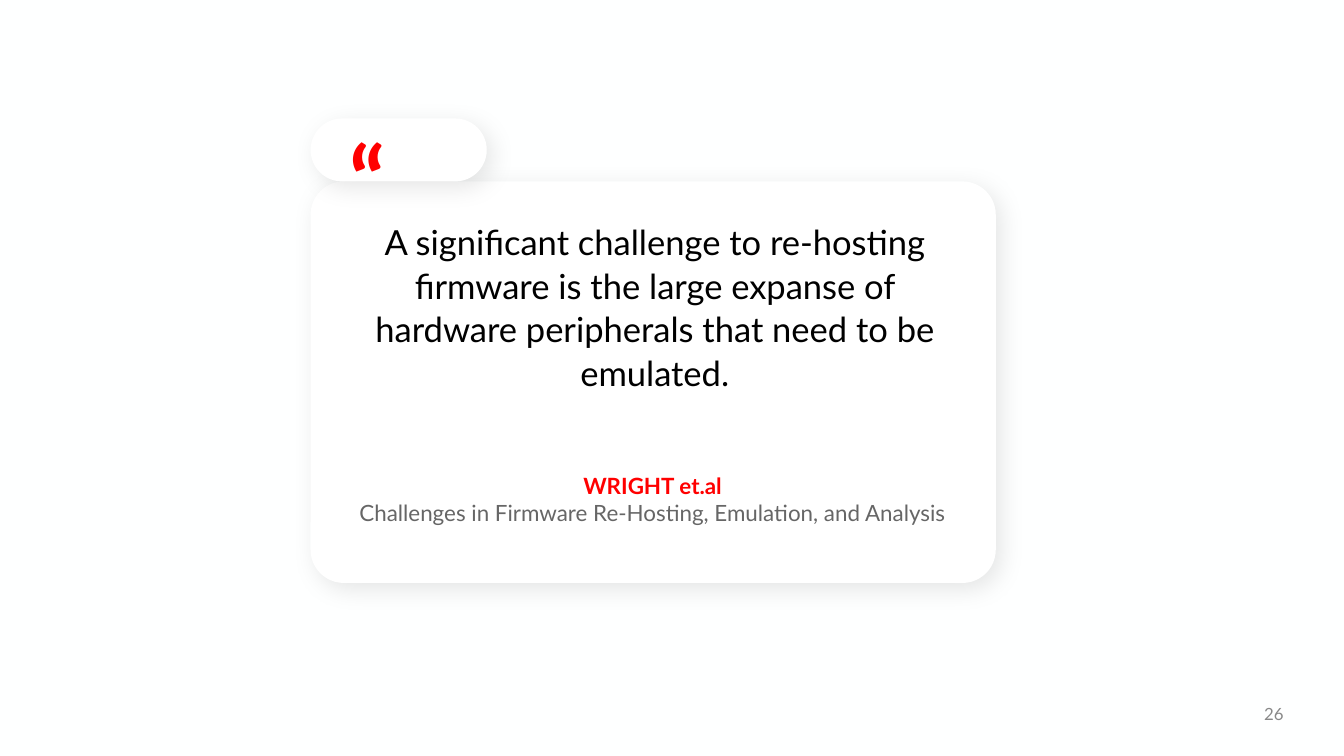
import pptx
import pptx.util
import pptx.dml.color
import pptx.enum.shapes
import pptx.enum.text
import lxml.etree

Cm, Pt = pptx.util.Cm, pptx.util.Pt
ALIGN = pptx.enum.text.PP_ALIGN
ANCHOR = pptx.enum.text.MSO_ANCHOR
FIT = pptx.enum.text.MSO_AUTO_SIZE
INK = {"back": "FEFFFF", "card": "FFFFFF", "text": "000000",
       "mark": "FF0000", "work": "666666", "page": "888888"}
FONT = "Lato"
SHADE = """<a:effectLst xmlns:a="http://schemas.openxmlformats.org/drawingml/2006/main">
<a:outerShdw blurRad="171450" dist="57150" dir="2700000" algn="tl" rotWithShape="0">
<a:srgbClr val="000000"><a:alpha val="10000"/></a:srgbClr></a:outerShdw></a:effectLst>"""


def tint(name):
    return pptx.dml.color.RGBColor.from_string(INK[name])


def place(shape, left, top, width, height):
    shape.left, shape.top = Cm(left), Cm(top)
    shape.width, shape.height = Cm(width), Cm(height)


def frame(shape, pad=(0, 0), anchor=ANCHOR.TOP, fit=FIT.SHAPE_TO_FIT_TEXT):
    text = shape.text_frame
    text.word_wrap, text.auto_size = True, fit
    text.vertical_anchor = anchor
    text.margin_left = text.margin_right = Cm(pad[0])
    text.margin_top = text.margin_bottom = Cm(pad[1])
    return text


def write(para, words, size, color, align, bold=False):
    para.text = words
    para.alignment = align
    for run in para.runs:
        font = run.font
        font.name, font.size, font.bold = FONT, Pt(size), bold
        font.color.rgb = tint(color)


def label(slide, box):
    shape = slide.shapes.add_textbox(0, 0, 0, 0)
    place(shape, *box)
    return shape


def panel(slide, box, round_by):
    """Add a white rounded panel with a soft shadow."""
    kind = pptx.enum.shapes.MSO_SHAPE.ROUNDED_RECTANGLE
    shape = slide.shapes.add_shape(kind, 0, 0, 0, 0)
    place(shape, *box)
    shape.adjustments[0] = round_by
    shape.fill.solid()
    shape.fill.fore_color.rgb = tint("card")
    shape.line.fill.background()
    shape.shadow.inherit = False
    props = shape._element.spPr
    props.remove(props.find("{*}effectLst"))
    props.append(lxml.etree.fromstring(SHADE))


def draw_card(slide, left, top, width, height):
    # Card body with the quote and its source
    panel(slide, (left, top, width, height), 0.083)

    quote = slide.shapes.title
    place(quote, left + 0.89, top + 0.71, width - 1.72, 3.28)
    slide.shapes._spTree.append(quote._element)
    para = frame(quote).paragraphs[0]
    write(para, "A significant challenge to re-hosting firmware is the large "
          "expanse of hardware peripherals that need to be emulated.",
          18.5, "text", ALIGN.CENTER)
    para.line_spacing = 1.05

    text = frame(label(slide, (left + 0.33, top + 5.49, width - 0.68, 1.02)))
    write(text.paragraphs[0], "WRIGHT et.al", 12, "mark", ALIGN.CENTER, True)
    write(text.add_paragraph(),
          "Challenges in Firmware Re-Hosting, Emulation, and Analysis",
          12, "work", ALIGN.CENTER)


def draw_tab(slide, left, top, width, height):
    # Pill with the quotation mark
    panel(slide, (left, top, width, height), 0.5)
    mark = label(slide, (left + 0.48, top - 0.18, 2.69, 2.64))
    text = frame(mark, (0.25, 0.25))
    write(text.paragraphs[0], "“", 50, "mark", ALIGN.LEFT, True)


def draw_page(slide, left, top, width, height):
    # Page number
    text = frame(label(slide, (left, top, width, height)), (0.18, 0.1),
                 ANCHOR.MIDDLE, FIT.NONE)
    write(text.paragraphs[0], "26", 9, "page", ALIGN.RIGHT)


def main():
    deck = pptx.Presentation()
    deck.slide_width, deck.slide_height = Cm(25.4), Cm(14.29)
    slide = deck.slides.add_slide(deck.slide_layouts.get_by_name("Title Only"))
    fill = slide.background.fill
    fill.solid()
    fill.fore_color.rgb = tint("back")

    left, top, tab = 5.87, 2.24, 1.19
    draw_page(slide, 22.15, 13.11, 2.29, 0.76)
    draw_card(slide, left, top + tab, 12.95, 7.59)
    draw_tab(slide, left, top, 3.33, tab)
    deck.save("out.pptx")


if __name__ == "__main__":
    main()
